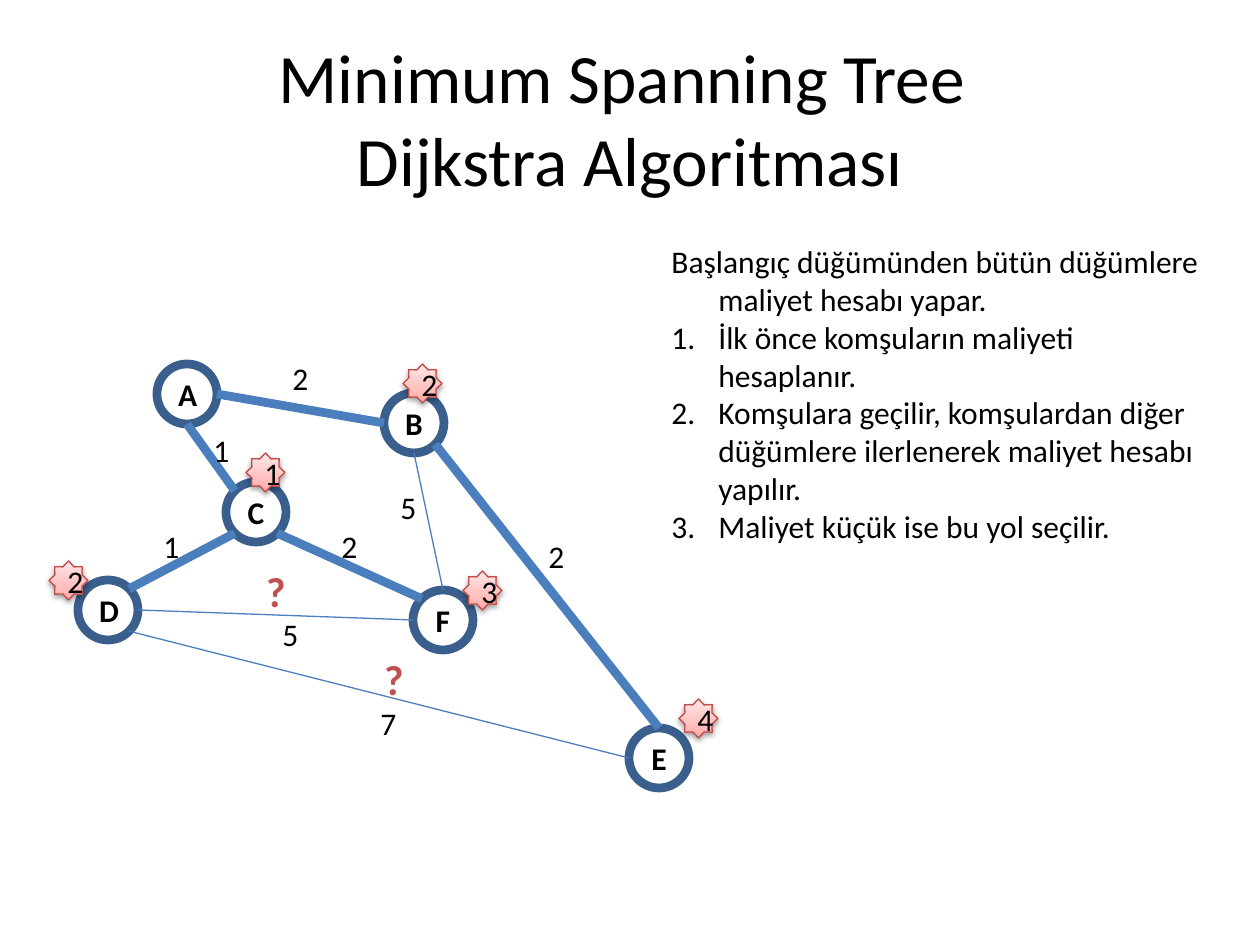
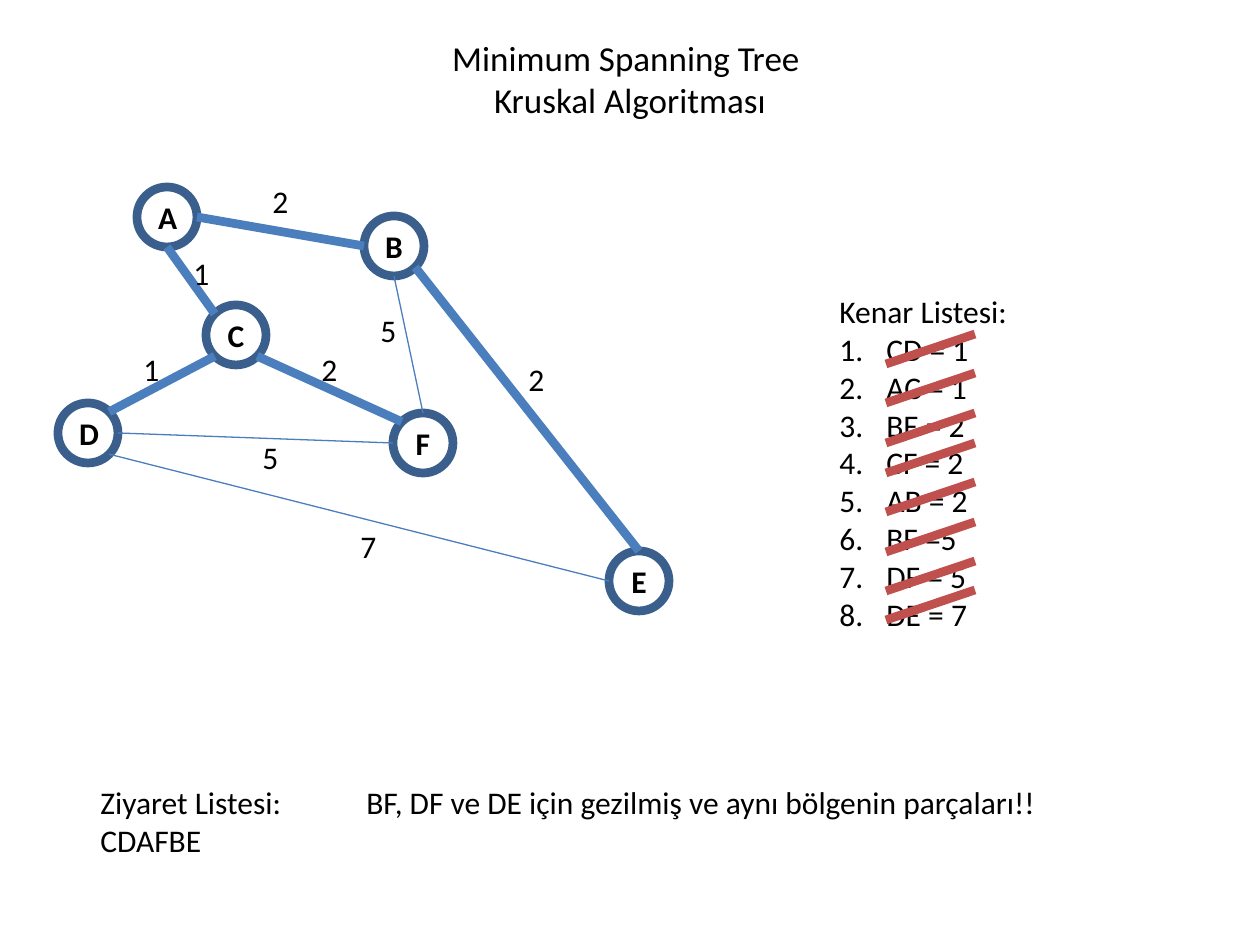
from dataclasses import dataclass
from math import copysign, hypot

from lxml import etree
from pptx import Presentation
from pptx.dml.color import RGBColor
from pptx.enum.shapes import MSO_CONNECTOR, MSO_SHAPE
from pptx.enum.text import MSO_ANCHOR, MSO_AUTO_SIZE, PP_ALIGN
from pptx.oxml import parse_xml
from pptx.oxml.ns import nsdecls, qn
from pptx.util import Emu, Pt

STRAIGHT = MSO_CONNECTOR.STRAIGHT
CIRCLE = MSO_SHAPE.OVAL
BURST = MSO_SHAPE.STAR_8_POINT
SPARK = MSO_SHAPE.STAR_4_POINT
CENTER = PP_ALIGN.CENTER
LEFT = PP_ALIGN.LEFT
MIDDLE = MSO_ANCHOR.MIDDLE
TOP = MSO_ANCHOR.TOP
GROW = MSO_AUTO_SIZE.SHAPE_TO_FIT_TEXT


@dataclass(frozen=True)
class Theme:
    font: str = "Calibri"
    ink: str = "000000"
    ring: str = "3A5F8C"
    edge: str = "4B7EBC"
    accent: str = "C0504D"
    badge_line: str = "BF4C48"
    badge_stops: tuple = ((0, "FFA6A5"), (35, "FFC0BF"), (100, "FFE7E7"))
    title: float = 39.6
    small_title: float = 20
    body: float = 18
    question: float = 24
    thick: float = 5
    thin: float = 0.75


THEME = Theme()
NODE_RADIUS = 30
BADGE_SIZE = 39
LABEL_WIDTH, LABEL_HEIGHT = 49, 47
HANGING = 47

NODES = {
    "A": (187, 394), "C": (256, 512), "F": (443, 620),
    "D": (108, 610), "B": (414, 423), "E": (659, 758),
}
RIGHT_SIDE, LEFT_SIDE, TOP_SIDE, BOTTOM_SIDE = (1, 0), (-1, 0), (0, -1), (0, 1)
UPPER_LEFT, UPPER_RIGHT, LOWER_LEFT, LOWER_RIGHT = (-1, -1), (1, -1), (-1, 1), (1, 1)
EDGES = [
    ("A", RIGHT_SIDE, "B", LEFT_SIDE, True),
    ("D", RIGHT_SIDE, "F", LEFT_SIDE, False),
    ("C", LOWER_RIGHT, "F", UPPER_LEFT, True),
    ("D", UPPER_RIGHT, "C", LOWER_LEFT, True),
    ("A", BOTTOM_SIDE, "C", UPPER_LEFT, True),
    ("B", LOWER_RIGHT, "E", TOP_SIDE, True),
    ("D", LOWER_RIGHT, "E", LEFT_SIDE, False),
    ("B", BOTTOM_SIDE, "F", TOP_SIDE, False),
]
WEIGHTS = [
    ("2", 276, 354), ("1", 197, 426), ("2", 532, 532), ("7", 364, 699),
    ("5", 266, 610), ("2", 325, 522), ("1", 147, 522), ("5", 384, 483),
]


def px(length):
    return Emu(round(length * 914400 / 126))


def color(value):
    return RGBColor.from_string(value)


def write(frame, lines, size=THEME.body, ink=THEME.ink, bold=False,
          align=LEFT, anchor=TOP, hanging=False, first_number=None):
    frame.vertical_anchor = anchor
    for index, line in enumerate(lines):
        para = frame.paragraphs[0] if index == 0 else frame.add_paragraph()
        para.alignment = align
        para.text = line
        for span in para.runs:
            span.font.name = THEME.font
            span.font.size = Pt(size)
            span.font.bold = bold
            span.font.color.rgb = color(ink)
        numbered = first_number is not None and index >= first_number
        if hanging or numbered:
            properties = para._p.get_or_add_pPr()
            properties.set("marL", str(px(HANGING)))
            properties.set("indent", str(-px(HANGING)))
        if numbered:
            etree.SubElement(properties, qn("a:buFont"), typeface="+mj-lt")
            etree.SubElement(properties, qn("a:buAutoNum"), type="arabicPeriod")


class Board:
    def __init__(self, deck, theme):
        self.deck = deck
        self.theme = theme
        self.page = None
        self.canvas = None

    def new_page(self):
        self.page = self.deck.slides.add_slide(self.deck.slide_layouts[6])
        self.canvas = self.page.shapes

    def text(self, lines, left, top, width, height, wrap=True, grow=True, **style):
        box = self.canvas.add_textbox(px(left), px(top), px(width), px(height))
        box.text_frame.word_wrap = wrap
        if grow:
            box.text_frame.auto_size = GROW
        write(box.text_frame, lines, **style)

    def title(self, text, height, size):
        self.text([text], 63, 38, 1134, height, grow=False,
                  size=size, align=CENTER, anchor=MIDDLE)

    def shape(self, kind, text, left, top, width, height, line=None,
              weight=None, **style):
        shape = self.canvas.add_shape(kind, px(left), px(top), px(width), px(height))
        shape.shadow.inherit = False
        shape.fill.background()
        if line:
            shape.line.color.rgb = color(line)
            shape.line.width = Pt(weight)
        else:
            shape.line.fill.background()
        write(shape.text_frame, [text], align=CENTER, anchor=MIDDLE, **style)
        return shape

    def node(self, name, x, y):
        self.shape(CIRCLE, name, x - NODE_RADIUS, y - NODE_RADIUS,
                   2 * NODE_RADIUS, 2 * NODE_RADIUS,
                   line=self.theme.ring, weight=self.theme.thick, bold=True)

    def line(self, start, end, ink, weight):
        line = self.canvas.add_connector(STRAIGHT, *map(px, (*start, *end)))
        line.line.color.rgb = color(ink)
        line.line.width = Pt(weight)
        etree.SubElement(line._element.spPr, qn("a:effectLst"))

    def badge(self, text, left, top):
        badge = self.shape(BURST, text, left, top, BADGE_SIZE, BADGE_SIZE,
                           line=self.theme.badge_line, weight=self.theme.thin)
        properties = badge._element.spPr
        stops = "".join(
            f'<a:gs pos="{place * 1000}"><a:srgbClr val="{value}"/></a:gs>'
            for place, value in self.theme.badge_stops)
        gradient = parse_xml(
            f'<a:gradFill {nsdecls("a")} rotWithShape="1"><a:gsLst>{stops}</a:gsLst>'
            '<a:lin ang="16200000" scaled="1"/></a:gradFill>')
        properties.replace(properties.find(qn("a:noFill")), gradient)
        properties.find(qn("a:effectLst")).append(parse_xml(
            f'<a:outerShdw {nsdecls("a")} blurRad="40000" dist="20000" dir="5400000" '
            'rotWithShape="0"><a:srgbClr val="000000"><a:alpha val="38000"/>'
            '</a:srgbClr></a:outerShdw>'))

    def question(self, left, top):
        self.shape(SPARK, "?", left, top, LABEL_WIDTH, BADGE_SIZE,
                   size=self.theme.question, ink=self.theme.accent, bold=True)

    def graph(self, shift_x=0, shift_y=0):
        self.canvas = self.page.shapes.add_group_shape().shapes
        centers = {name: (x + shift_x, y + shift_y) for name, (x, y) in NODES.items()}

        def rim(name, side):
            reach = NODE_RADIUS / hypot(*side)
            return [center + reach * step for center, step in zip(centers[name], side)]

        for name, center in centers.items():
            self.node(name, *center)
        for source, out_side, target, in_side, in_tree in EDGES:
            self.line(rim(source, out_side), rim(target, in_side), self.theme.edge,
                      self.theme.thick if in_tree else self.theme.thin)
        for weight, x, y in WEIGHTS:
            self.text([weight], x + shift_x, y + shift_y, LABEL_WIDTH, LABEL_HEIGHT,
                      grow=False, align=CENTER, anchor=MIDDLE)
        self.canvas = self.page.shapes


deck = Presentation()
deck.slide_width, deck.slide_height = px(1260), px(945)
board = Board(deck, THEME)

board.new_page()
board.title("Minimum Spanning Tree \vDijkstra Algoritması", 158, THEME.title)
board.graph()
board.text([
    "Başlangıç düğümünden bütün düğümlere maliyet hesabı yapar.",
    "İlk önce komşuların maliyeti hesaplanır.",
    "Komşulara geçilir, komşulardan diğer düğümlere ilerlenerek maliyet hesabı yapılır.",
    "Maliyet küçük ise bu yol seçilir.",
], 659, 236, 561, 318, hanging=True, first_number=1)
for cost, left, top in [("2", 403, 364), ("1", 246, 453), ("4", 679, 699),
                        ("3", 463, 571), ("2", 49, 561)]:
    board.badge(cost, left, top)
for left, top in [(364, 659), (246, 571)]:
    board.question(left, top)

board.new_page()
board.title("Minimum Spanning Tree \vKruskal Algoritması", 81, THEME.small_title)
board.graph(-20, -177)
board.text(["Kenar Listesi:", "CD = 1", "AC = 1", "BE = 2", "CF = 2",
            "AB = 2", "BF =5", "DF = 5", "DE = 7"],
           827, 286, 195, 394, wrap=False, first_number=1)
for bottom in (364, 403, 443, 473, 512, 552, 591, 620):
    board.line((886, bottom), (975, bottom - 30), THEME.accent, THEME.thick)
board.text(["Ziyaret Listesi:", "CDAFBE"], 88, 777, 767, 89)
board.text(["BF, DF ve DE için gezilmiş ve aynı bölgenin parçaları!!"],
           354, 777, 709, 50)

deck.save("out.pptx")
